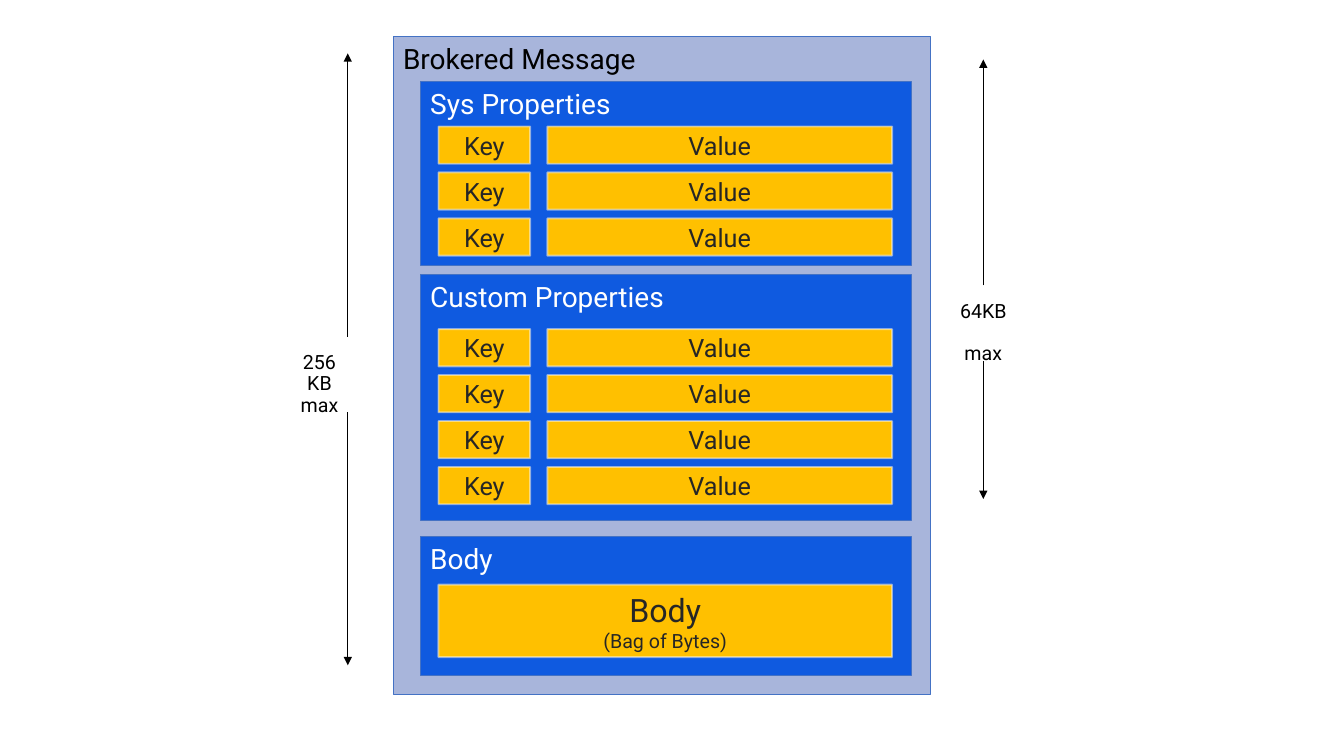
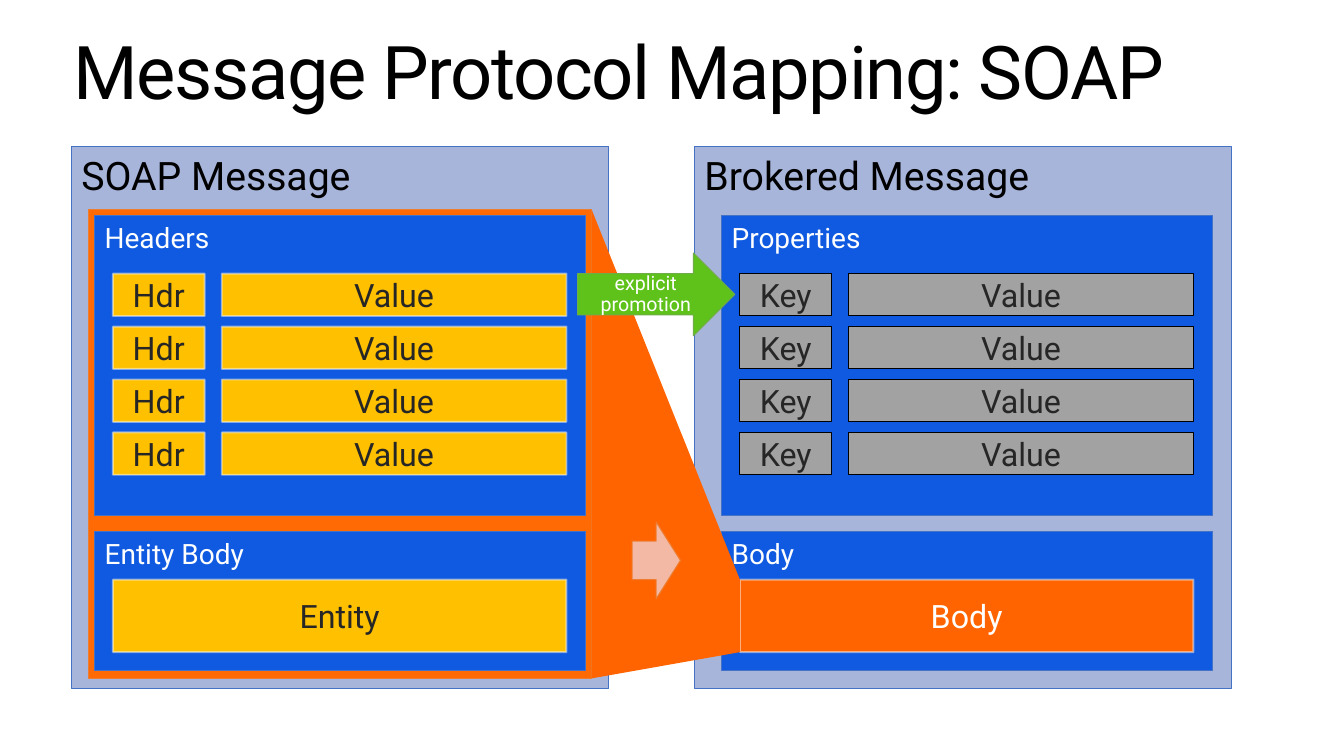
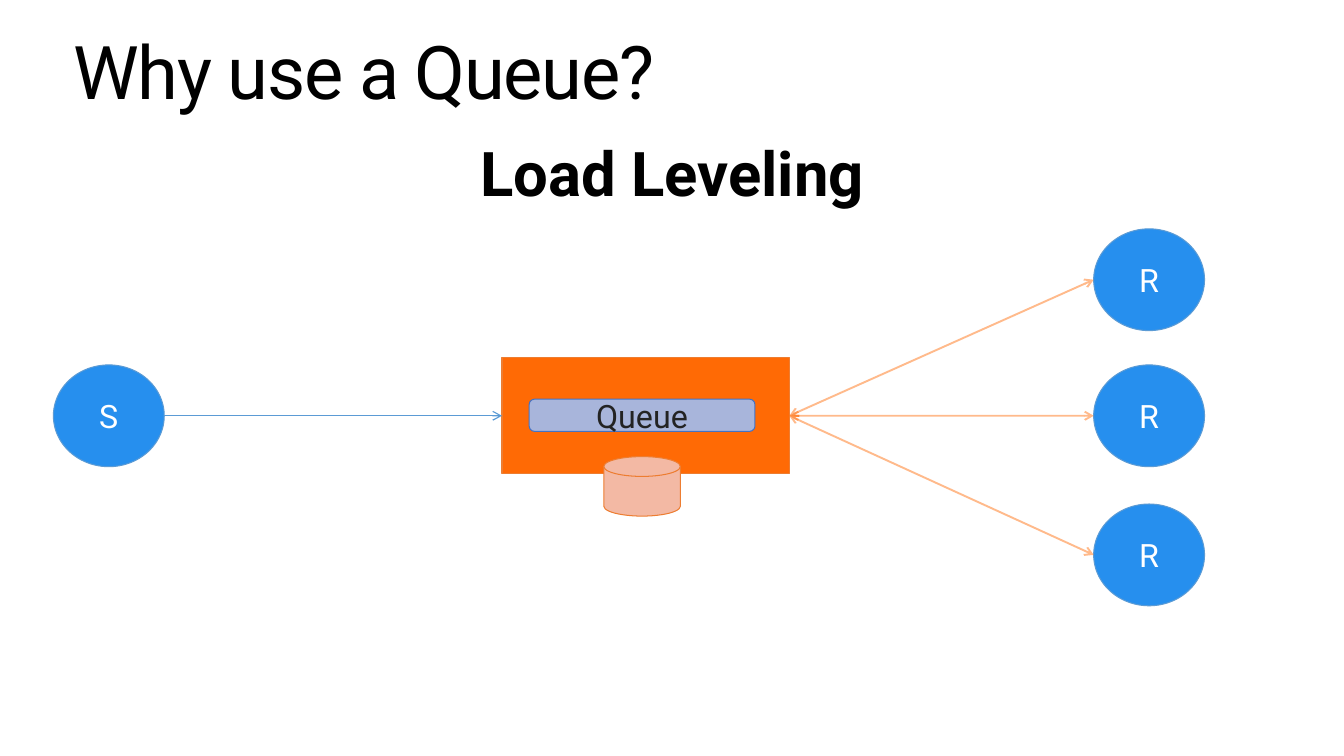
from lxml.etree import SubElement
from pptx import Presentation
from pptx.dml.color import RGBColor
from pptx.enum.shapes import MSO_CONNECTOR, MSO_SHAPE
from pptx.enum.text import MSO_ANCHOR, MSO_AUTO_SIZE, PP_ALIGN
from pptx.oxml.ns import qn
from pptx.util import Inches, Pt

FONT = "Roboto"
COLS, ROWS = 133.33, 75
COLORS = {
    "black": "000000", "white": "FFFFFF", "ink": "262626", "label": "232323",
    "frame": "A8B5DB", "frame_line": "4472C4", "panel": "0F5AE0",
    "gold": "FFC000", "pale": "F9F9F9", "gray": "A2A2A2",
    "wrap": "FF6A05", "orange": "FF6400", "orange_line": "ED7D31",
    "peach": "F3B9A4", "reply": "FF7619", "green": "5EC21B",
    "green_line": "70AD47", "node": "268FEE", "node_line": "5B9BD5",
}
GOLD = dict(fill="gold", line="pale", width=1.35, alpha=50, color="ink")
GRAY = dict(fill="gray", line="black", color="ink")
ORANGE = dict(GOLD, fill="orange", color="white")
NODE = dict(fill="node", line="node_line", color="white", size=23)
FRAME_W, PANEL_W, KEY_W, VALUE_W = 53.3, 48.7, 9.1, 34.2
PAD, VALUE_X, BODY_W, BODY_H = 1.8, 12.6, 45, 7.2


def grid(n):
    return Inches(n / 10)


def place(box):
    return [grid(n) for n in box]


def rgb(name):
    return RGBColor.from_string(COLORS[name])


def write(tf, text, size=14, small=None, color="black", align=PP_ALIGN.CENTER,
          anchor=MSO_ANCHOR.MIDDLE, bold=False, spacing=1.0, gap=0,
          inset=(1, 0.5), track=None):
    tf.word_wrap = True
    tf.auto_size = MSO_AUTO_SIZE.NONE
    tf.vertical_anchor = anchor
    tf.margin_left = tf.margin_right = grid(inset[0])
    tf.margin_top = tf.margin_bottom = grid(inset[1])
    for i, line in enumerate(text.split("\n")):
        p = tf.add_paragraph() if i else tf.paragraphs[0]
        p.alignment, p.line_spacing = align, spacing
        p.space_before = Pt(gap if i else 0)
        r = p.add_run()
        r.text = line
        r.font.name, r.font.bold = FONT, bold
        r.font.size = Pt(small if i and small else size)
        r.font.color.rgb = rgb(color)
        if track:
            r.font._element.set("spc", str(track))


def set_line(sp, color, width, alpha=None):
    sp.line.color.rgb = rgb(color)
    sp.line.width = Pt(width)
    if alpha:
        clr = sp.element.xpath(".//a:ln//a:srgbClr")[0]
        SubElement(clr, qn("a:alpha")).set("val", str(alpha * 1000))


def add_box(s, box, fill, line, text="", kind=MSO_SHAPE.RECTANGLE, width=0.75,
            alpha=None, **fmt):
    sp = s.shapes.add_shape(kind, *place(box))
    sp.shadow.inherit = False
    sp.fill.solid()
    sp.fill.fore_color.rgb = rgb(fill)
    set_line(sp, line, width, alpha)
    if text:
        write(sp.text_frame, text, **fmt)
    return sp


def add_text(s, box, text, **fmt):
    sp = s.shapes.add_textbox(*place(box))
    write(sp.text_frame, text, **fmt)
    return sp


def add_arrow(s, start, end, color="black", width=0.75, alpha=None, head=None,
              tail="triangle", begin=None, finish=None):
    c = s.shapes.add_connector(MSO_CONNECTOR.STRAIGHT, *place(start + end))
    if begin:
        c.begin_connect(*begin)
    if finish:
        c.end_connect(*finish)
    set_line(c, color, width, alpha)
    ln = c.element.xpath(".//a:ln")[0]
    for tag, style in (("a:headEnd", head), ("a:tailEnd", tail)):
        if style:
            SubElement(ln, qn(tag)).set("type", style)
    SubElement(c.element.spPr, qn("a:effectLst"))


def add_title(s, text):
    sp = s.shapes.title
    sp.left, sp.top, sp.width, sp.height = place((5.7, 2.5, 122, 6.7))
    write(sp.text_frame, text, size=52.9, align=PP_ALIGN.LEFT,
          anchor=MSO_ANCHOR.TOP, spacing=0.9, inset=(1.6, 1), track=-100)


def message_frame(s, x, y, h, title, size):
    add_box(s, (x, y, FRAME_W, h), "frame", "frame_line", title, size=size,
            align=PP_ALIGN.LEFT, anchor=MSO_ANCHOR.TOP)


def panel(s, x, y, h, title):
    add_box(s, (x, y, PANEL_W, h), "panel", "frame_line", title, size=20,
            color="white", align=PP_ALIGN.LEFT, anchor=MSO_ANCHOR.TOP)


def pair_panel(s, x, y, h, title, key, count, first, pitch, row_h, size, style):
    panel(s, x, y, h, title)
    for i in range(count):
        top = y + first + i * pitch
        for dx, w, text in ((PAD, KEY_W, key), (VALUE_X, VALUE_W, "Value")):
            add_box(s, (x + dx, top, w, row_h), text=text, size=size, **style)


def body_panel(s, x, y, title, text, style):
    panel(s, x, y, 13.8, title)
    box = (x + PAD, y + 4.8, BODY_W, BODY_H)
    add_box(s, box, text=text, size=23, small=14, **style)
    return box


def size_limits(s):
    fmt = dict(anchor=MSO_ANCHOR.TOP, spacing=0.9, inset=(2, 1.6))
    add_text(s, (26.7, 33.4, 10, 7.5), "256 KB\nmax", **fmt)
    add_arrow(s, (34.5, 33.4), (34.5, 5.3))
    add_arrow(s, (34.5, 40.9), (34.5, 66))
    x = 97.55
    limit = add_text(s, (93.1, 28.3, 8.9, 7.5), "64KB\nmax", gap=15, **fmt)
    add_arrow(s, (x, 28.3), (x, 5.9), begin=(limit, 0))
    add_arrow(s, (x, 35.8), (x, 49.5), begin=(limit, 2))


def message_slide(prs):
    s = prs.slides.add_slide(prs.slide_layouts[6])
    x = 41.7
    rows = dict(key="Key", pitch=4.56, row_h=3.7, size=18, style=GOLD)
    message_frame(s, 39, 3.6, 65.3, "Brokered Message", 20)
    pair_panel(s, x, 8.1, 18.2, "Sys Properties", count=3, first=4.45, **rows)
    pair_panel(s, x, 27.2, 24.4, "Custom Properties", count=4, first=5.45, **rows)
    body_panel(s, x, 53.2, "Body", "Body\n(Bag of Bytes)", GOLD)
    size_limits(s)


def funnel(s, source, target):
    x, y, w, h = source
    tx, ty, tw, th = target
    points = [(x + w, y), (tx, ty), (tx, ty + th), (x + w, y + h)]
    fb = s.shapes.build_freeform(*place(points[0]))
    fb.add_line_segments([place(pt) for pt in points[1:]], close=True)
    sp = fb.convert_to_shape()
    sp.shadow.inherit = False
    sp.fill.solid()
    sp.fill.fore_color.rgb = rgb("orange")
    sp.line.fill.background()


def mapping_slide(prs):
    s = prs.slides.add_slide(prs.slide_layouts[5])
    add_title(s, "Message Protocol Mapping: SOAP")
    envelope = (8.8, 20.8, 49.9, 46.5)
    rows = dict(count=4, first=5.75, pitch=5.25, row_h=4.2, size=23)
    message_frame(s, 7.1, 14.5, 53.8, "SOAP Message", 28)
    add_box(s, envelope, "wrap", "orange_line")
    message_frame(s, 68.9, 14.5, 53.8, "Brokered Message", 28)
    for x, title, key, style, body, text, body_style in (
            (9.4, "Headers", "Hdr", GOLD, "Entity Body", "Entity", GOLD),
            (71.6, "Properties", "Key", GRAY, "Body", "Body", ORANGE)):
        pair_panel(s, x, 21.4, 29.7, title, key, style=style, **rows)
        target = body_panel(s, x, 52.7, body, text, body_style)
    funnel(s, envelope, target)
    add_box(s, (62.7, 51.8, 4.8, 7.6), "peach", "orange_line",
            kind=MSO_SHAPE.RIGHT_ARROW)
    add_box(s, (57.3, 25.1, 15.6, 8.2), "green", "green_line",
            "explicit\npromotion", kind=MSO_SHAPE.RIGHT_ARROW, color="white",
            spacing=0.9, inset=(0, 0))


def node(s, x, middle, text):
    w, h = 11, 10.1
    add_box(s, (x, middle - h / 2, w, h), text=text, kind=MSO_SHAPE.OVAL, **NODE)


def queue_slide(prs):
    s = prs.slides.add_slide(prs.slide_layouts[5])
    add_title(s, "Why use a Queue?")
    add_text(s, (5.7, 13.2, 122, 8.7), "Load Leveling", size=44, bold=True,
             anchor=MSO_ANCHOR.TOP, spacing=0.9, inset=(1.6, 1))
    middle, left, right, receiver_x = 41.25, 49.8, 78.3, 108.5
    broker = add_box(s, (left, 35.5, right - left, 11.5), "wrap", "orange_line")
    node(s, 5.3, middle, "S")
    add_arrow(s, (16.3, middle), (left, middle), "node_line", 0.85,
              tail="arrow", finish=(broker, 1))
    for y in (27.75, middle, 55.05):
        node(s, receiver_x, y, "R")
        add_arrow(s, (right, middle), (receiver_x, y), "reply", 1.35, 50,
                  head="arrow", tail="arrow", begin=(broker, 3))
    add_box(s, (59.9, 45.3, 7.6, 5.9), "peach", "orange_line",
            kind=MSO_SHAPE.FLOWCHART_MAGNETIC_DISK)
    add_box(s, (52.5, 39.6, 22.4, 3.2), "frame", "frame_line", "Queue",
            kind=MSO_SHAPE.ROUNDED_RECTANGLE, size=23, color="label")


def main():
    prs = Presentation()
    prs.slide_width, prs.slide_height = grid(COLS), grid(ROWS)
    message_slide(prs)
    mapping_slide(prs)
    queue_slide(prs)
    prs.save("out.pptx")


if __name__ == "__main__":
    main()
